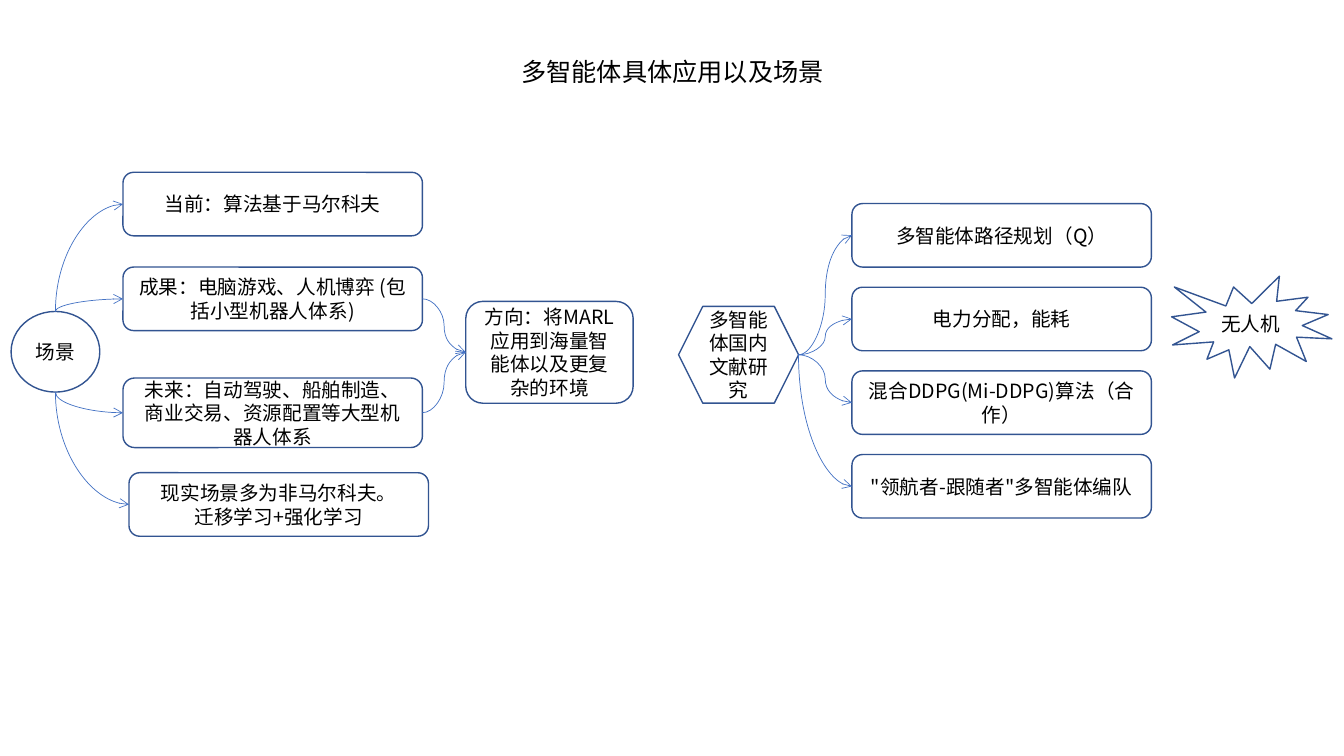
from collections import namedtuple

from lxml.etree import SubElement
from pptx import Presentation
from pptx.dml.color import RGBColor
from pptx.enum.shapes import MSO_CONNECTOR, MSO_SHAPE as Preset
from pptx.enum.text import MSO_ANCHOR, PP_ALIGN
from pptx.oxml.ns import qn
from pptx.util import Inches, Pt

FONT = "Noto Sans CJK SC"
BLACK = RGBColor(0x00, 0x00, 0x00)
OUTLINE = RGBColor(0x32, 0x54, 0x91)
ARROW = RGBColor(0x44, 0x72, 0xC4)

Box = namedtuple("Box", "left top width height")

TITLE_BOX = Box(2.35, 0.51, 8.64, 0.4)
SCENES_BOX = Box(0.11, 1.71, 6.17, 3.61)
RESEARCH_BOX = Box(6.73, 2.02, 6.48, 3.12)
CARD_WIDTH, CARD_HEIGHT = 2.97, 0.63
CARD_PITCH = 0.83

SCENES = [
    ("当前：算法基于马尔科夫", 1.11, 0, CARD_HEIGHT),
    ("成果：电脑游戏、人机博弈 (包括小型机器人体系)", 1.11, 0.94, CARD_HEIGHT),
    ("未来：自动驾驶、船舶制造、商业交易、资源配置等大型机器人体系", 1.11, 2.04, 0.69),
    ("现实场景多为非马尔科夫。\n迁移学习+强化学习", 1.17, 2.98, CARD_HEIGHT),
]
TOPICS = [
    "多智能体路径规划（Q）",
    "电力分配，能耗",
    "混合DDPG(Mi-DDPG)算法（合作）",
    "\"领航者-跟随者\"多智能体编队",
]


def write(frame, text, size):
    frame.word_wrap = True
    frame.text = text
    for para in frame.paragraphs:
        para.alignment = PP_ALIGN.CENTER
        para.font.size = Pt(size)
        para.font.name = FONT
        para.font.color.rgb = BLACK
        defaults = para._p.pPr.find(qn("a:defRPr"))
        SubElement(defaults, qn("a:ea")).set("typeface", FONT)


def add_node(page, preset, text, left, top, width, height):
    node = page.shapes.add_shape(
        preset, Inches(left), Inches(top), Inches(width), Inches(height))
    node.shadow.inherit = False
    node.fill.background()
    node.line.color.rgb = OUTLINE
    node.line.width = Pt(1)
    node.text_frame.vertical_anchor = MSO_ANCHOR.MIDDLE
    write(node.text_frame, text, 14)
    return node


def left_middle(node):
    return node.left, node.top + node.height // 2


def right_middle(node):
    return node.left + node.width, node.top + node.height // 2


def add_curve(page, start, target, source=None, site=0):
    curve = page.shapes.add_connector(
        MSO_CONNECTOR.CURVE, *start, *left_middle(target))
    curve.line.color.rgb = ARROW
    curve.line.width = Pt(0.5)
    SubElement(curve.line._get_or_add_ln(), qn("a:tailEnd")).set("type", "arrow")
    SubElement(curve._element.spPr, qn("a:effectLst"))
    links = curve._element.nvCxnSpPr.cNvCxnSpPr
    for tag, node, point in (("a:stCxn", source, site), ("a:endCxn", target, 1)):
        if node is not None:
            link = SubElement(links, qn(tag))
            link.set("id", str(node.shape_id))
            link.set("idx", str(point))
    return curve


def bend_once(curve):
    downward = curve.end_y > curve.begin_y
    center_x = curve.left + curve.width // 2
    center_y = curve.top + curve.height // 2
    curve.width, curve.height = curve.height, curve.width
    curve.left = center_x - curve.width // 2
    curve.top = center_y - curve.height // 2
    properties = curve._element.spPr
    frame = properties.find(qn("a:xfrm"))
    frame.set("rot", "5400000" if downward else "16200000")
    frame.set("flipV", "1" if downward else "0")
    properties.find(qn("a:prstGeom")).set("prst", "curvedConnector2")


def add_title(page, box):
    title = page.shapes.title
    title.left, title.top, title.width, title.height = map(Inches, box)
    title.text_frame.vertical_anchor = MSO_ANCHOR.TOP
    write(title.text_frame, "多智能体具体应用以及场景", 18)


def add_scenes(page, box):
    hub = add_node(page, Preset.OVAL, "场景", box.left, box.top + 1.38, 0.88, 0.8)
    direction = add_node(
        page, Preset.ROUNDED_RECTANGLE, "方向：将MARL应用到海量智能体以及更复杂的环境",
        box.left + box.width - 1.66, box.top + 1.28, 1.66, 1.01)
    cards = [
        add_node(page, Preset.ROUNDED_RECTANGLE, text,
                 box.left + x, box.top + y, CARD_WIDTH, height)
        for text, x, y, height in SCENES]
    center = hub.left + hub.width // 2
    for index, card in enumerate(cards):
        upper = index < len(cards) // 2
        start = center, hub.top if upper else hub.top + hub.height
        bend_once(add_curve(page, start, card, hub, 0 if upper else 4))
    for card in cards[1:3]:
        add_curve(page, right_middle(card), direction, card, 3)


def add_research(page, box):
    hub = add_node(page, Preset.HEXAGON, "多智能体国内文献研究",
                   box.left, box.top + 1.02, 1.19, 0.96)
    cards = [
        add_node(page, Preset.ROUNDED_RECTANGLE, text, box.left + 1.72,
                 box.top + row * CARD_PITCH, CARD_WIDTH, CARD_HEIGHT)
        for row, text in enumerate(TOPICS)]
    for card in cards[:-1]:
        add_curve(page, right_middle(hub), card, hub)
    bend_once(add_curve(page, right_middle(hub), cards[-1]))
    add_node(page, Preset.EXPLOSION1, "无人机",
             box.left + box.width - 1.59, box.top + 0.72, 1.59, 1.01)


def main():
    deck = Presentation()
    deck.slide_width, deck.slide_height = Inches(13.33), Inches(7.5)
    page = deck.slides.add_slide(deck.slide_layouts[5])
    add_title(page, TITLE_BOX)
    add_scenes(page, SCENES_BOX)
    add_research(page, RESEARCH_BOX)
    deck.save("out.pptx")


if __name__ == "__main__":
    main()
